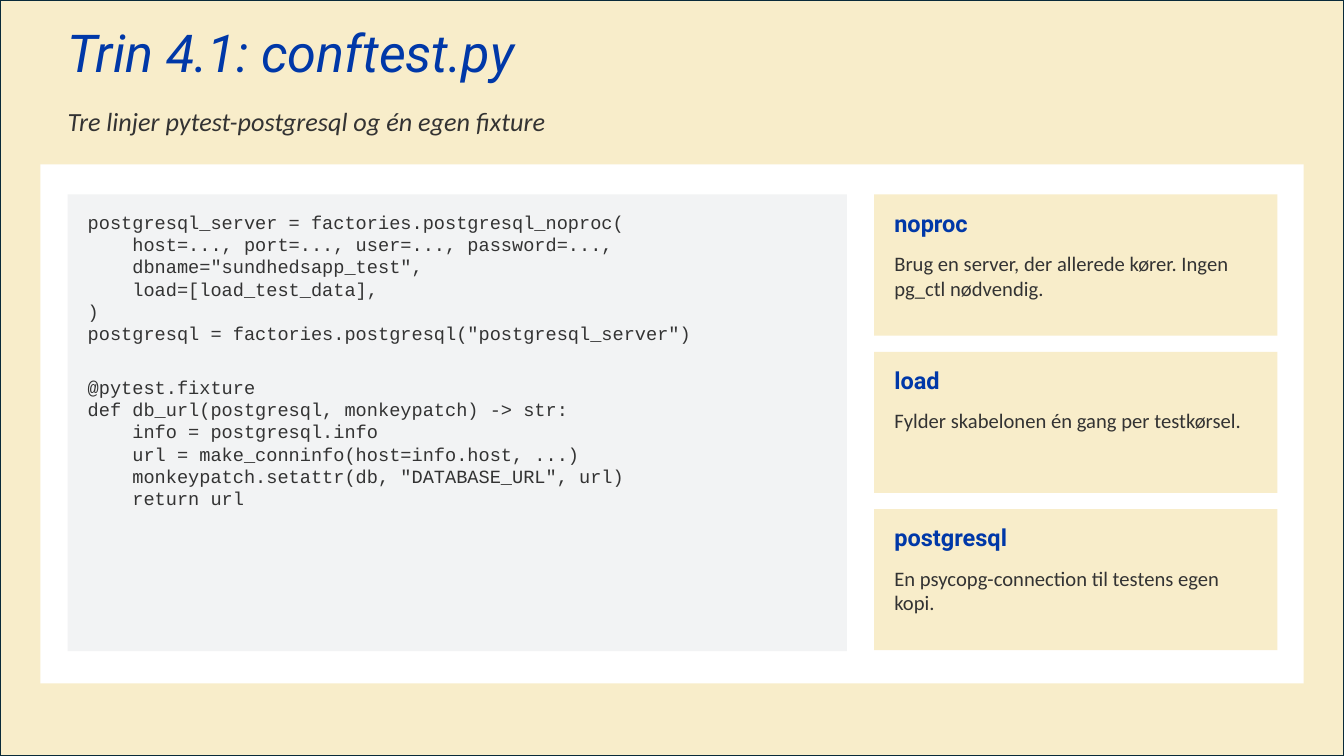
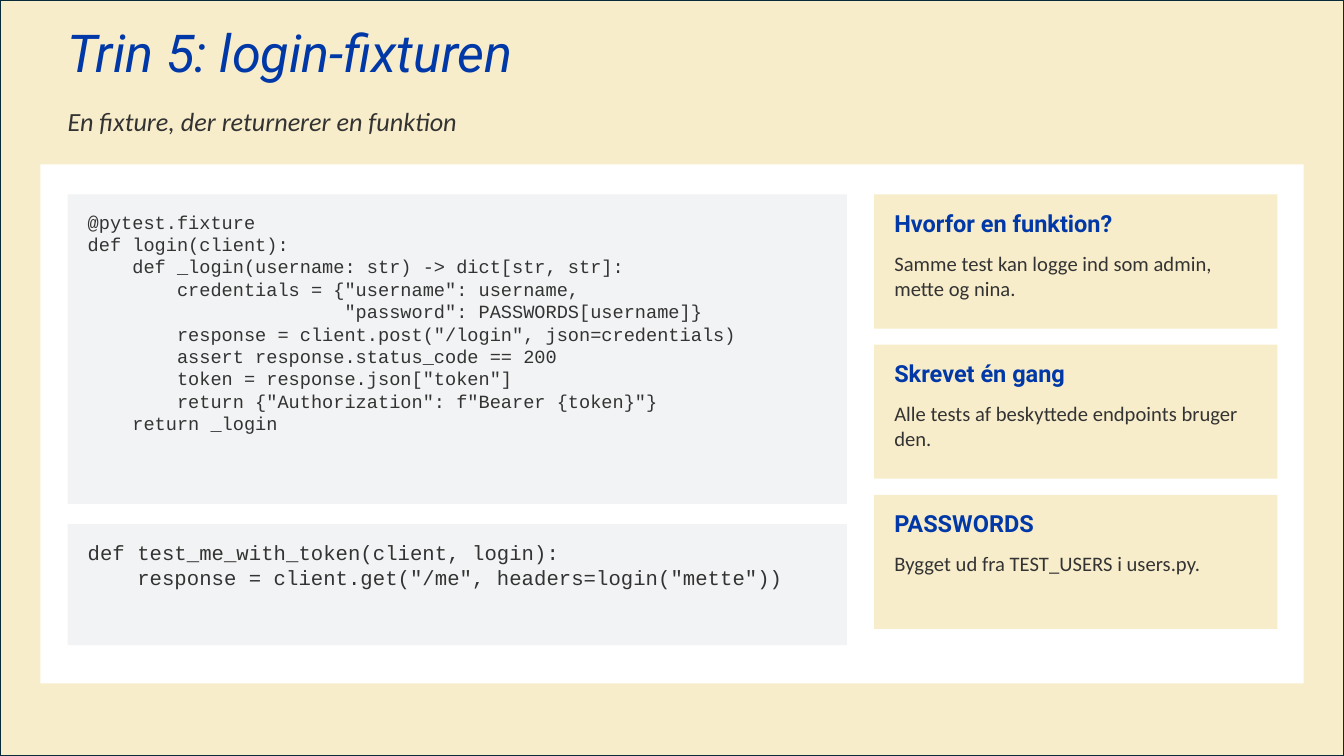
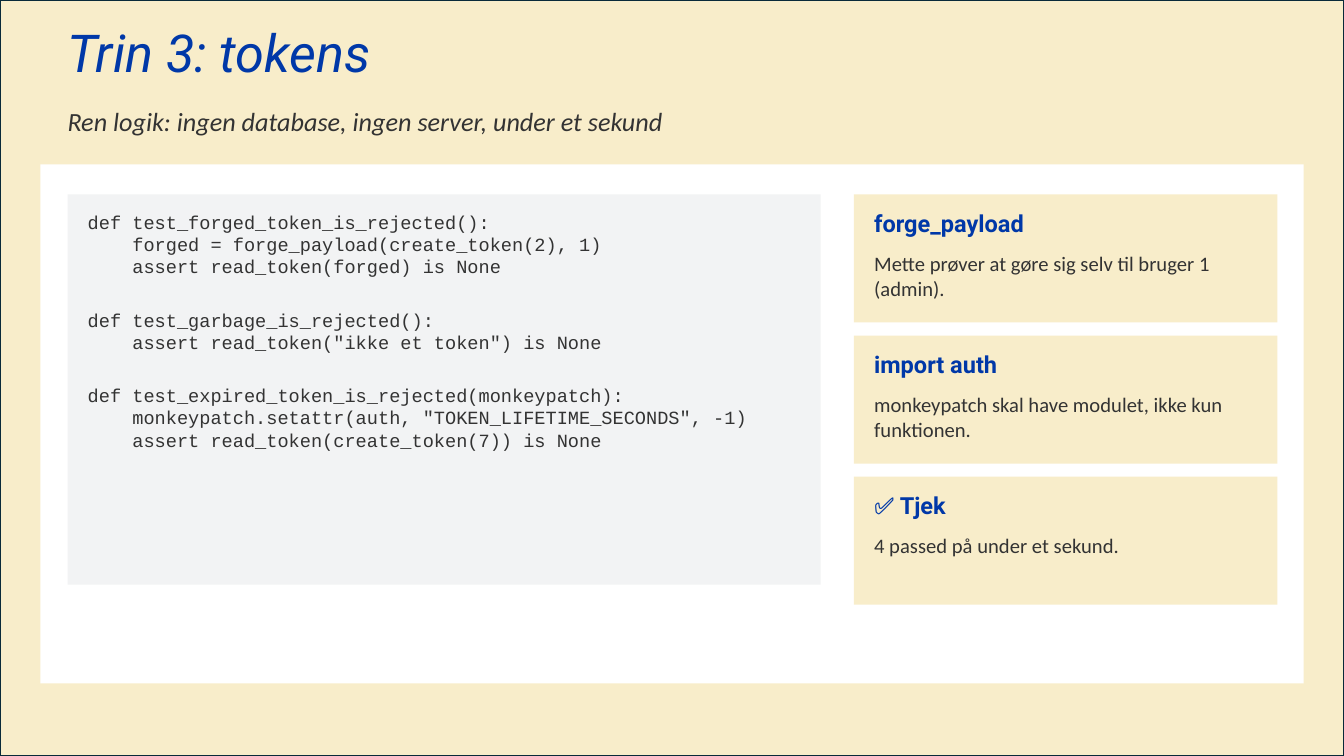
import pptx
import pptx.util
import pptx.dml.color
import pptx.enum.shapes
import pptx.enum.text

Inches, Pt = pptx.util.Inches, pptx.util.Pt
RGBColor = pptx.dml.color.RGBColor

CREAM = RGBColor(0xF8, 0xED, 0xCA)
FRAME = RGBColor(0x09, 0x2A, 0x39)
BLUE = RGBColor(0x00, 0x38, 0xA8)
INK = RGBColor(0x33, 0x33, 0x33)
GREY = RGBColor(0xF2, 0xF3, 0xF4)
WHITE = RGBColor(0xFF, 0xFF, 0xFF)

STYLES = {
    "title": dict(name="Roboto", size=Pt(37.3), italic=True, color=BLUE),
    "subtitle": dict(name="Calibri", size=Pt(18.7), italic=True, color=INK),
    "heading": dict(name="Roboto", size=Pt(16.8), bold=True, color=BLUE),
    "body": dict(name="Calibri", size=Pt(14.7), color=INK),
    "code": dict(name="Courier New", size=Pt(13.3), color=INK),
    "large code": dict(name="Courier New", size=Pt(14.7), color=INK),
}

SLIDE_W, SLIDE_H = 13.33, 7.5
LEFT, RIGHT, CONTENT_TOP = 0.67, 12.67, 1.93
PAD = 0.2
CODE_GAP = Pt(22)

SLIDES = [
    {
        "title": "Trin 4.1: conftest.py",
        "subtitle": "Tre linjer pytest-postgresql og én egen fixture",
        "code_width": 7.73,
        "code": [(CONTENT_TOP, 4.53, "code", '''\
postgresql_server = factories.postgresql_noproc(
    host=..., port=..., user=..., password=...,
    dbname="sundhedsapp_test",
    load=[load_test_data],
)
postgresql = factories.postgresql("postgresql_server")

@pytest.fixture
def db_url(postgresql, monkeypatch) -> str:
    info = postgresql.info
    url = make_conninfo(host=info.host, ...)
    monkeypatch.setattr(db, "DATABASE_URL", url)
    return url''')],
        "card": dict(width=4, height=1.4, gap=0.16),
        "cards": [
            ("noproc", "Brug en server, der allerede kører. Ingen pg_ctl nødvendig."),
            ("load", "Fylder skabelonen én gang per testkørsel."),
            ("postgresql", "En psycopg-connection til testens egen kopi."),
        ],
    },
    {
        "title": "Trin 5: login-fixturen",
        "subtitle": "En fixture, der returnerer en funktion",
        "code_width": 7.73,
        "code": [(CONTENT_TOP, 3.07, "code", '''\
@pytest.fixture
def login(client):
    def _login(username: str) -> dict[str, str]:
        credentials = {"username": username,
                       "password": PASSWORDS[username]}
        response = client.post("/login", json=credentials)
        assert response.status_code == 200
        token = response.json["token"]
        return {"Authorization": f"Bearer {token}"}
    return _login'''),
                 (5.2, 1.2, "large code", '''\
def test_me_with_token(client, login):
    response = client.get("/me", headers=login("mette"))''')],
        "card": dict(width=4, height=1.33, gap=0.16),
        "cards": [
            ("Hvorfor en funktion?", "Samme test kan logge ind som admin, mette og nina."),
            ("Skrevet én gang", "Alle tests af beskyttede endpoints bruger den."),
            ("PASSWORDS", "Bygget ud fra TEST_USERS i users.py."),
        ],
    },
    {
        "title": "Trin 3: tokens",
        "subtitle": "Ren logik: ingen database, ingen server, under et sekund",
        "code_width": 7.47,
        "code": [(CONTENT_TOP, 3.87, "code", '''\
def test_forged_token_is_rejected():
    forged = forge_payload(create_token(2), 1)
    assert read_token(forged) is None

def test_garbage_is_rejected():
    assert read_token("ikke et token") is None

def test_expired_token_is_rejected(monkeypatch):
    monkeypatch.setattr(auth, "TOKEN_LIFETIME_SECONDS", -1)
    assert read_token(create_token(7)) is None''')],
        "card": dict(width=4.2, height=1.27, gap=0.13),
        "cards": [
            ("forge_payload", "Mette prøver at gøre sig selv til bruger 1 (admin)."),
            ("import auth", "monkeypatch skal have modulet, ikke kun funktionen."),
            ("✅ Tjek", "4 passed på under et sekund."),
        ],
    },
]


def write(tf, text, style):
    """Fill a text frame line by line; an empty line becomes space before the next."""
    tf.word_wrap = True
    tf.auto_size = pptx.enum.text.MSO_AUTO_SIZE.NONE
    tf.vertical_anchor = pptx.enum.text.MSO_ANCHOR.TOP
    tf.margin_left = tf.margin_top = tf.margin_right = tf.margin_bottom = 0
    p, gap = tf.paragraphs[0], None
    for i, line in enumerate(text.split("\n")):
        if not line:
            gap = CODE_GAP
            continue
        if i:
            p = tf.add_paragraph()
        p.alignment = pptx.enum.text.PP_ALIGN.LEFT
        if gap:
            p.space_before, gap = gap, None
        r = p.add_run()
        r.text = line
        for key, value in STYLES[style].items():
            if key == "color":
                r.font.color.rgb = value
            else:
                setattr(r.font, key, value)


def add_text(s, x, y, w, h, text, style):
    box = s.shapes.add_textbox(Inches(x), Inches(y), Inches(w), Inches(h))
    write(box.text_frame, text, style)


def add_panel(s, x, y, w, h, color):
    panel = s.shapes.add_shape(pptx.enum.shapes.MSO_SHAPE.RECTANGLE,
                               Inches(x), Inches(y), Inches(w), Inches(h))
    panel.shadow.inherit = False
    panel.fill.solid()
    panel.fill.fore_color.rgb = color
    panel.line.fill.background()
    return panel


def set_up_layout(layout, s):
    """Place the layout's title and move a framed background from s into the layout."""
    title = layout.placeholders[0]
    title.left, title.top = Inches(LEFT), Inches(0.27)
    title.width, title.height = Inches(RIGHT - LEFT), Inches(0.73)
    frame = add_panel(s, 0, 0, SLIDE_W, SLIDE_H, CREAM)
    frame.line.color.rgb = FRAME
    frame.line.width = Pt(1.5)
    layout.shapes.element.insert(2, frame.element)


def add_code(s, y, w, h, code, style):
    add_panel(s, LEFT, y, w, h, GREY)
    add_text(s, LEFT + PAD, y + 0.16, w - 2 * PAD, h - 0.26, code, style)


def add_cards(s, cards, width, height, gap):
    x = RIGHT - width
    for i, (heading, body) in enumerate(cards):
        y = CONTENT_TOP + i * (height + gap)
        add_panel(s, x, y, width, height, CREAM)
        add_text(s, x + PAD, y + 0.14, width - 2 * PAD, 0.4, heading, "heading")
        add_text(s, x + PAD, y + 0.56, width - 2 * PAD, height - 0.64, body, "body")


def fill_slide(s, content):
    write(s.shapes.title.text_frame, content["title"], "title")
    s.shapes.title.text_frame.paragraphs[0].line_spacing = 0.9
    add_panel(s, 0.4, 1.63, 12.53, 5.15, WHITE)
    add_text(s, LEFT, 1.04, RIGHT - LEFT, 0.47, content["subtitle"], "subtitle")
    for y, h, style, code in content["code"]:
        add_code(s, y, content["code_width"], h, code, style)
    add_cards(s, content["cards"], **content["card"])


def main():
    prs = pptx.Presentation()
    prs.slide_width, prs.slide_height = Inches(SLIDE_W), Inches(SLIDE_H)
    layout = prs.slide_layouts[5]
    slides = [prs.slides.add_slide(layout) for _ in SLIDES]
    set_up_layout(layout, slides[0])
    for s, content in zip(slides, SLIDES):
        fill_slide(s, content)
    prs.save("out.pptx")


if __name__ == "__main__":
    main()
